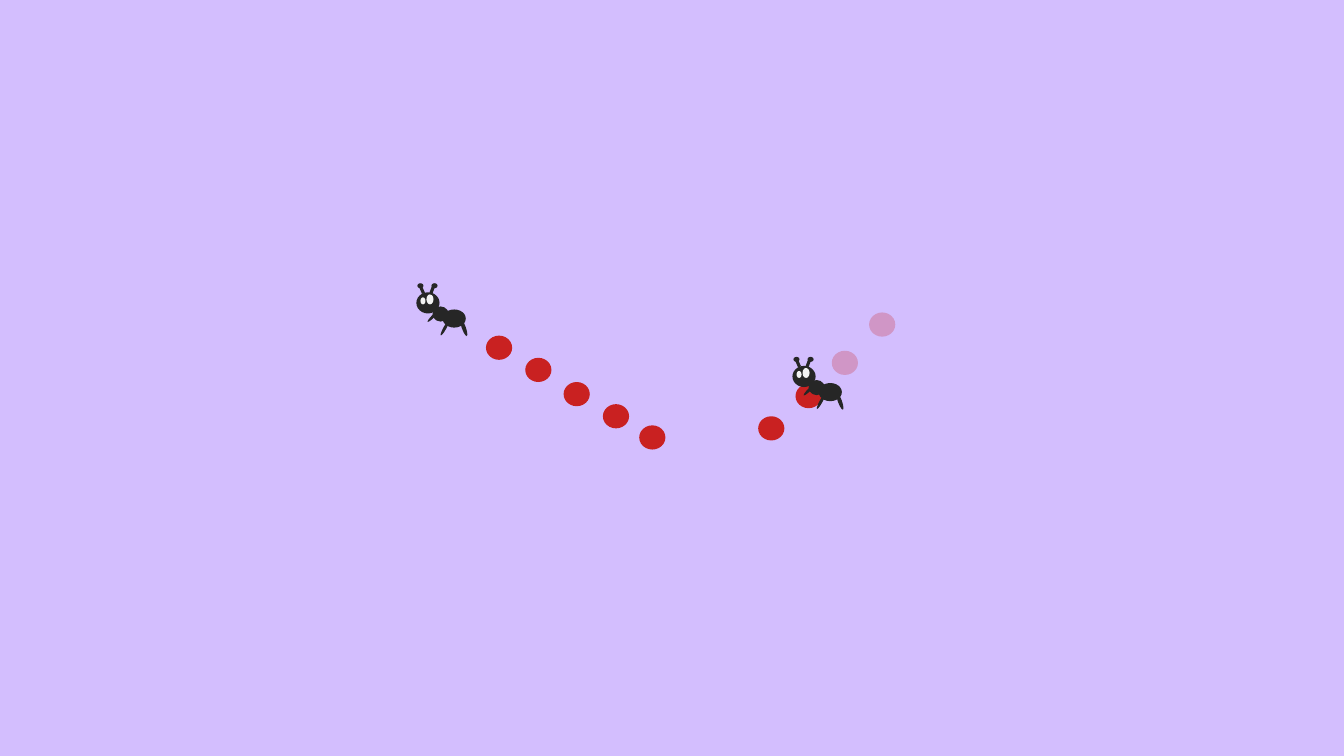
from lxml import etree
from pptx import Presentation
from pptx.dml.color import RGBColor
from pptx.enum.shapes import MSO_CONNECTOR as CONN, MSO_SHAPE as SHAPE
from pptx.oxml.ns import qn
from pptx.util import Inches, Pt

COLORS = {"background": "D3BEFE", "ant": "262626", "eye": "F2F2F2", "dot": "C92121"}

ANTS = {"left": (4.13, 2.81), "right": (7.86, 3.54)}
BODY = [
    (0.26, 0.26, 0.23, 0.18, 0, "ant"),
    (0.16, 0.23, 0.16, 0.15, 0, "ant"),
    (0, 0.09, 0.23, 0.21, 0, "ant"),
    (0.04, 0.14, 0.05, 0.07, 0, "eye"),
    (0.1, 0.11, 0.07, 0.1, 0, "eye"),
    (0.45, 0.35, 0.04, 0.18, 340.1, "ant"),
    (0.27, 0.35, 0.03, 0.18, 28.9, "ant"),
    (0.16, 0.23, 0.03, 0.18, 45.2, "ant"),
]
ANTENNAE = [(0.17, 0.03, 0.14, 0.11), (0.04, 0.03, 0.07, 0.1)]
ANTENNA_TIPS = [
    (0.15, 0, 0.06, 0.05, 0, "ant"),
    (0.01, 0, 0.06, 0.05, 0, "ant"),
]

DOT_SIZE = (0.26, 0.24)
DOTS = [
    (7.52, 4.13, 100), (7.89, 3.81, 100), (8.25, 3.48, 25), (8.62, 3.1, 25),
    (6.34, 4.22, 100), (5.98, 4.01, 100), (5.59, 3.79, 100),
    (5.21, 3.55, 100), (4.82, 3.33, 100),
]


def rgb(name):
    return RGBColor.from_string(COLORS[name])


def add_ellipse(shapes, left, top, width, height, rotation, color):
    sp = shapes.add_shape(SHAPE.OVAL, *map(Inches, (left, top, width, height)))
    sp.rotation = rotation
    sp.shadow.inherit = False
    sp.fill.solid()
    sp.fill.fore_color.rgb = rgb(color)
    sp.line.fill.background()
    return sp


def add_ant(s, left, top):
    shapes = s.shapes.add_group_shape().shapes
    for x, y, *rest in BODY:
        add_ellipse(shapes, left + x, top + y, *rest)
    for x1, y1, x2, y2 in ANTENNAE:
        ends = (left + x1, top + y1, left + x2, top + y2)
        cxn = shapes.add_connector(CONN.STRAIGHT, *map(Inches, ends))
        cxn.line.color.rgb = rgb("ant")
        cxn.line.width = Pt(2.25)
        etree.SubElement(cxn._element.spPr, qn("a:effectLst"))
    for x, y, *rest in ANTENNA_TIPS:
        add_ellipse(shapes, left + x, top + y, *rest)


def add_dot(s, left, top, opacity):
    sp = add_ellipse(s.shapes, left, top, *DOT_SIZE, 0, "dot")
    if opacity < 100:
        clr = sp._element.spPr.find(f"{qn('a:solidFill')}/{qn('a:srgbClr')}")
        etree.SubElement(clr, qn("a:alpha"), val=str(opacity * 1000))


def main():
    prs = Presentation()
    prs.slide_width, prs.slide_height = Inches(13.33), Inches(7.5)
    s = prs.slides.add_slide(prs.slide_layouts[6])
    s.background.fill.solid()
    s.background.fill.fore_color.rgb = rgb("background")
    add_ant(s, *ANTS["left"])
    for dot in DOTS:
        add_dot(s, *dot)
    add_ant(s, *ANTS["right"])
    prs.save("out.pptx")


if __name__ == "__main__":
    main()
